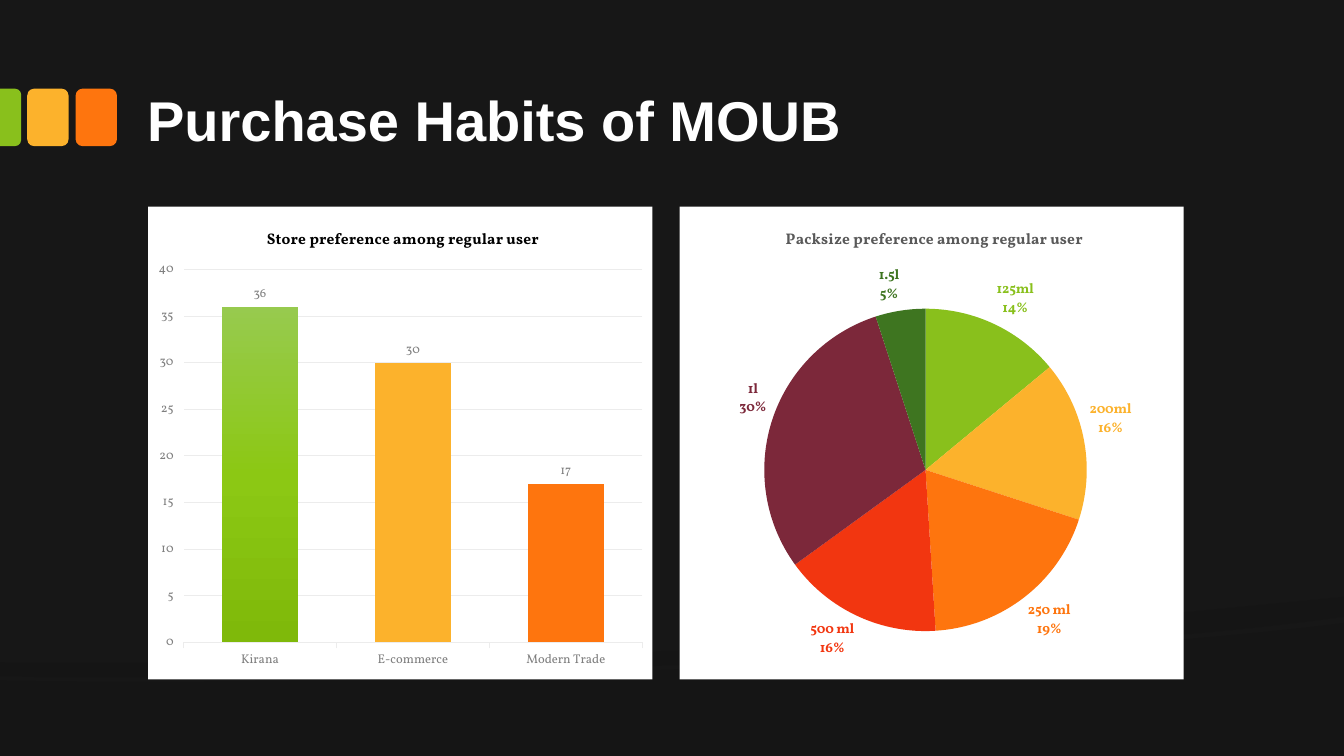
from dataclasses import dataclass
from math import comb

from lxml import etree
from pptx import Presentation
from pptx.chart.data import CategoryChartData
from pptx.dml.color import RGBColor
from pptx.enum.chart import XL_CHART_TYPE as ChartType
from pptx.enum.chart import XL_LABEL_POSITION as LabelPosition
from pptx.enum.chart import XL_TICK_MARK as TickMark
from pptx.enum.shapes import MSO_AUTO_SHAPE_TYPE as ShapeType
from pptx.enum.text import MSO_ANCHOR as Anchor
from pptx.enum.text import MSO_AUTO_SIZE as AutoSize
from pptx.enum.text import PP_ALIGN as Align
from pptx.oxml import parse_xml
from pptx.oxml.ns import nsdecls, qn
from pptx.util import Inches, Pt

GREEN, AMBER, ORANGE = "89C01C", "FCB22C", "FE750E"
RED, WINE, FOREST = "F23610", "7C283A", "3E7520"
GREY, GRID, WHITE = "7F7F7F", "ECECEC", "FFFFFF"
CHART_FONT = "Vollkorn"
Point = tuple[float, float]
Frame = tuple[float, float, float, float]


@dataclass
class Band:
    start: Point
    segments: list[list[Point]]
    opacity: int


@dataclass
class Tab:
    kind: ShapeType
    frame: Frame
    color: str
    rotation: int = 0


@dataclass
class ChartPanel:
    kind: ChartType
    left: float
    title: str
    title_color: str
    title_at: Point
    plot: Frame
    values: dict[str, int]
    colors: list[str]


BANDS = [
    Band((13.33, 6.18), [[(13.33, 7.5)], [(0, 7.5)], [(0, 6.75)],
                         [(3.52, 6.83), (10.42, 6.55), (13.33, 6.18)]], 8),
    Band((13.33, 5.92), [[(13.33, 6.12)],
                         [(12.55, 6.23), (11.49, 6.33), (10.29, 6.41)],
                         [(6.98, 6.63), (2.58, 6.77), (0, 6.71)], [(0, 6.57)],
                         [(6.52, 6.62), (9.71, 6.27), (13.33, 5.92)]], 5),
]
TABS = [
    Tab(ShapeType.ROUNDED_RECTANGLE, (0.75, 0.88, 0.41, 0.57), ORANGE),
    Tab(ShapeType.ROUNDED_RECTANGLE, (0.27, 0.88, 0.41, 0.57), AMBER),
    Tab(ShapeType.ROUND_2_SAME_RECTANGLE, (-0.18, 1.06, 0.57, 0.21), GREEN, 90),
]
STORES = ChartPanel(
    ChartType.COLUMN_CLUSTERED, 1.47, "Store preference among regular user", "000000",
    (0.23, 0.04), (0.07, 0.133, 0.91, 0.789),
    {"Kirana": 36, "E-commerce": 30, "Modern Trade": 17}, [GREEN, AMBER, ORANGE])
PACKS = ChartPanel(
    ChartType.PIE, 6.74, "Packsize preference among regular user", "595959",
    (0.205, 0.04), (0.168, 0.216, 0.64, 0.682),
    {"125ml": 14, "200ml": 16, "250 ml": 19, "500 ml": 16, "1l": 30, "1.5l": 5},
    [GREEN, AMBER, ORANGE, RED, WINE, FOREST])


def paint(fill, color: str) -> None:
    fill.solid()
    fill.fore_color.rgb = RGBColor.from_string(color)


def set_all(target, **values) -> None:
    for name, value in values.items():
        setattr(target, name, value)


def set_font(font, size: float, color: str, name: str = CHART_FONT, bold: bool = False) -> None:
    set_all(font, size=Pt(size), name=name, bold=bold)
    font.color.rgb = RGBColor.from_string(color)


def trace(band: Band) -> list[Point]:
    points, current = [], band.start
    for segment in band.segments:
        controls = [current, *segment]
        degree = len(segment)
        steps = 1 if degree == 1 else 24
        for step in range(1, steps + 1):
            t = step / steps
            weights = [comb(degree, k) * t**k * (1 - t)**(degree - k) for k in range(degree + 1)]
            points.append(tuple(sum(w * c[axis] for w, c in zip(weights, controls))
                                for axis in (0, 1)))
        current = segment[-1]
    return points


def draw_band(page, band: Band) -> None:
    builder = page.shapes.build_freeform(*map(Inches, band.start))
    builder.add_line_segments([(Inches(x), Inches(y)) for x, y in trace(band)])
    shape = builder.convert_to_shape()
    shape.shadow.inherit = False
    shape.line.fill.background()
    paint(shape.fill, "000000")
    color = shape._element.spPr.find(qn("a:solidFill"))[0]
    etree.SubElement(color, qn("a:alpha"), val=str(band.opacity * 1000))


def draw_tab(page, tab: Tab) -> None:
    shape = page.shapes.add_shape(tab.kind, *map(Inches, tab.frame))
    shape.rotation = tab.rotation
    shape.shadow.inherit = False
    shape.line.fill.background()
    paint(shape.fill, tab.color)
    if tab.rotation:
        shape.adjustments[0] = 0.29


def place(parent, index: int, **fractions: float) -> None:
    for previous in parent.findall(qn("c:layout")):
        parent.remove(previous)
    layout = etree.Element(qn("c:layout"))
    manual = etree.SubElement(layout, qn("c:manualLayout"))
    if "w" in fractions:
        etree.SubElement(manual, qn("c:layoutTarget"), val="inner")
    for side in ("x", "y"):
        etree.SubElement(manual, qn(f"c:{side}Mode"), val="edge")
    for name, value in fractions.items():
        etree.SubElement(manual, qn(f"c:{name}"), val=str(value))
    parent.insert(index, layout)


def draw_chart(page, panel: ChartPanel):
    data = CategoryChartData()
    data.categories = list(panel.values)
    data.add_series("Series 1", list(panel.values.values()))
    box = (panel.left, 2.05, 5, 4.69)
    chart = page.shapes.add_chart(panel.kind, *map(Inches, box), data).chart
    set_font(chart.font, 10, "000000")
    chart.has_legend = False
    chart.plots[0].vary_by_categories = False
    frame = chart.chart_title.text_frame
    frame.text = panel.title
    set_font(frame.paragraphs[0].runs[0].font, 11, panel.title_color, bold=True)
    area = chart._chartSpace.find(qn("c:chart"))
    place(area.find(qn("c:title")), 1, **dict(zip("xy", panel.title_at)))
    place(area.find(qn("c:plotArea")), 0, **dict(zip("xywh", panel.plot)))
    area.addnext(parse_xml(
        f'<c:spPr {nsdecls("c", "a")}><a:solidFill><a:srgbClr val="{WHITE}"/></a:solidFill>'
        "<a:ln><a:noFill/></a:ln></c:spPr>"))
    series = chart.plots[0].series[0]
    for index, color in enumerate(panel.colors):
        paint(series.points[index].format.fill, color)
    return chart


def style_columns(chart) -> None:
    plot = chart.plots[0]
    plot.gap_width = 100
    series = plot.series[0]
    set_all(series.data_labels, show_value=True, position=LabelPosition.OUTSIDE_END)
    set_font(series.data_labels.font, 9, GREY)
    category, value = chart.category_axis, chart.value_axis
    set_all(value, minimum_scale=0, maximum_scale=40, major_unit=5, has_major_gridlines=True)
    for axis in (category, value):
        axis.major_tick_mark = TickMark.OUTSIDE
        set_font(axis.tick_labels.font, 9, GREY)
    for line in (category.format.line, value.major_gridlines.format.line):
        paint(line.fill, GRID)
        line.width = Pt(0.75)
    value.format.line.fill.background()
    solid = series.points[0].format.fill._xPr.find(qn("a:solidFill"))
    stops = "".join(f'<a:gs pos="{place_}"><a:srgbClr val="{color}"/></a:gs>' for place_, color in
                    ((0, "97CA4E"), (50000, "8CC814"), (100000, "7FB90A")))
    solid.getparent().replace(solid, parse_xml(
        f'<a:gradFill {nsdecls("a")}><a:gsLst>{stops}</a:gsLst>'
        '<a:lin ang="5400000" scaled="0"/></a:gradFill>'))


def style_pie(chart, colors: list[str]) -> None:
    series = chart.plots[0].series[0]
    set_all(series.data_labels, position=LabelPosition.OUTSIDE_END)
    for index, color in enumerate(colors):
        label = series.points[index].data_label
        set_font(label.font, 10, color, bold=True)
        label.position = LabelPosition.OUTSIDE_END
    shown = {"showVal": "0", "showCatName": "1", "showPercent": "1"}
    for name, state in shown.items():
        for flag in series._element.xpath(f".//c:{name}"):
            flag.set("val", state)
    for flag in series._element.xpath(".//c:showBubbleSize"):
        separator = etree.Element(qn("c:separator"))
        separator.text = "\n"
        flag.addnext(separator)


def write_title(page) -> None:
    title = page.shapes.title
    set_all(title, left=Inches(1.33), top=Inches(0.17), width=Inches(10.66), height=Inches(1.42))
    frame = title.text_frame
    frame.text = "Purchase Habits of MOUB"
    set_all(frame, word_wrap=True, auto_size=AutoSize.NONE, vertical_anchor=Anchor.BOTTOM,
            margin_left=Inches(0.13), margin_right=Inches(0.13),
            margin_top=Inches(0.07), margin_bottom=Inches(0.07))
    para = frame.paragraphs[0]
    para.alignment = Align.LEFT
    set_font(para.runs[0].font, 40, WHITE, "Arial", True)


def main() -> None:
    deck = Presentation()
    set_all(deck, slide_width=Inches(13.33), slide_height=Inches(7.5))
    page = deck.slides.add_slide(deck.slide_layouts[5])
    paint(page.background.fill, "171717")
    for band in BANDS:
        draw_band(page, band)
    for tab in TABS:
        draw_tab(page, tab)
    write_title(page)
    style_columns(draw_chart(page, STORES))
    style_pie(draw_chart(page, PACKS), PACKS.colors)
    deck.save("out.pptx")


if __name__ == "__main__":
    main()
